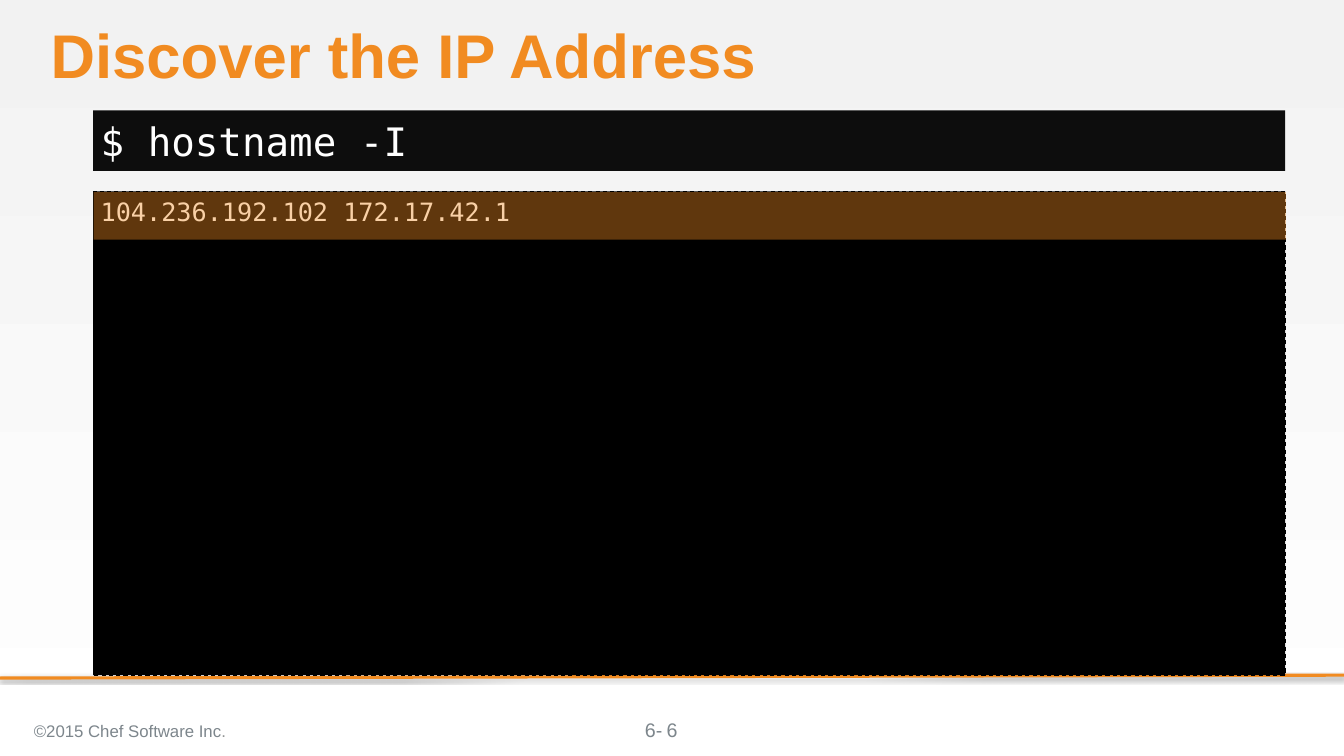
import dataclasses

import lxml.etree
import pptx
import pptx.dml.color
import pptx.enum.dml
import pptx.enum.shapes
import pptx.enum.text
import pptx.oxml.ns
import pptx.util

Pt = pptx.util.Pt
qn = pptx.oxml.ns.qn
Align = pptx.enum.text.PP_ALIGN
Anchor = pptx.enum.text.MSO_ANCHOR


@dataclasses.dataclass(frozen=True)
class Theme:
    sans: str = "Arial"
    mono: str = "DejaVu Sans Mono"
    orange: str = "F18B21"
    black: str = "000000"
    command: str = "0D0D0D"
    white: str = "FFFFFF"
    pale: str = "F2F2F2"
    grey: str = "7D868C"
    full_stop: str = "929494"
    title_size: float = 58.7
    command_size: float = 37.3
    output_size: float = 24
    page_size: float = 18.7
    copyright_size: float = 16


THEME = Theme()
TERMINAL_LEFT, TERMINAL_WIDTH = 88.6, 1135.4


def rgb(value):
    return pptx.dml.color.RGBColor.from_string(value)


def set_attributes(target, values):
    for name, value in values.items():
        setattr(target, name, value)


def place(part, left, top, width, height):
    box = {"left": left, "top": top, "width": width, "height": height}
    set_attributes(part, {side: Pt(length) for side, length in box.items()})


def write(part, runs, size, font=THEME.sans, bold=False, anchor=Anchor.TOP,
          align=Align.LEFT, insets=(0, 0, 0, 0), line_spacing=1.0):
    """Fill a part with one paragraph of (text, colour) runs."""
    left, top, right, bottom = insets
    frame = part.text_frame
    set_attributes(frame, {
        "word_wrap": True, "auto_size": pptx.enum.text.MSO_AUTO_SIZE.NONE,
        "vertical_anchor": anchor,
        "margin_left": Pt(left), "margin_top": Pt(top),
        "margin_right": Pt(right), "margin_bottom": Pt(bottom)})
    paragraph = frame.paragraphs[0]
    properties = paragraph._p.get_or_add_pPr()
    properties.set("marL", "0")
    properties.set("indent", "0")
    set_attributes(paragraph, {"alignment": align, "space_before": Pt(0),
                               "line_spacing": line_spacing})
    lxml.etree.SubElement(properties, qn("a:buNone"))
    for text, colour in runs:
        run = paragraph.add_run()
        run.text = text
        set_attributes(run.font, {"name": font, "size": Pt(size), "bold": bold})
        run.font.color.rgb = rgb(colour)


def paint(part, colour, opacity=100):
    part.fill.solid()
    part.fill.fore_color.rgb = rgb(colour)
    if opacity < 100:
        tint = part.fill._xPr.find(".//" + qn("a:srgbClr"))
        lxml.etree.SubElement(tint, qn("a:alpha"), val=str(opacity * 1000))


def add_background(slide):
    fill = slide.background.fill
    fill.gradient()
    fill.gradient_angle = 270
    for stop, colour in zip(fill.gradient_stops, (THEME.pale, THEME.white)):
        stop.color.rgb = rgb(colour)


def add_footer_rule(slide):
    rule = slide.shapes.add_connector(
        pptx.enum.shapes.MSO_CONNECTOR.STRAIGHT,
        Pt(1280), Pt(643), Pt(0), Pt(645.8))
    rule.line.color.rgb = rgb(THEME.orange)
    rule.line.width = Pt(3)
    effects = lxml.etree.SubElement(rule._element.spPr, qn("a:effectLst"))
    shadow = lxml.etree.SubElement(
        effects, qn("a:outerShdw"), blurRad=str(Pt(3.1)), dist=str(Pt(1.8)),
        dir="5400000", rotWithShape="0")
    tint = lxml.etree.SubElement(shadow, qn("a:srgbClr"), val=THEME.black)
    lxml.etree.SubElement(tint, qn("a:alpha"), val="35000")
    # The rule lies behind the terminal
    slide.shapes._spTree.insert(2, rule._element)


def add_highlight(slide, left, top, width, height):
    highlight = slide.shapes.add_shape(
        pptx.enum.shapes.MSO_SHAPE.RECTANGLE,
        Pt(left), Pt(top), Pt(width), Pt(height))
    highlight.shadow.inherit = False
    highlight.line.fill.background()
    paint(highlight, THEME.orange, 40)


def add_footer_text(slide, box, runs, size, **layout):
    footer = slide.shapes.add_textbox(*map(Pt, box))
    write(footer, runs, size, **layout)


def main():
    deck = pptx.Presentation()
    set_attributes(deck, {"slide_width": Pt(1280), "slide_height": Pt(720)})
    slide = deck.slides.add_slide(deck.slide_layouts.get_by_name("Two Content"))
    title, output, command = slide.placeholders

    # Backdrop
    add_background(slide)
    add_footer_rule(slide)

    # Title
    place(title, 48.2, 23.8, 1175.8, 65.5)
    write(title, [("Discover the IP Address", THEME.orange)], THEME.title_size,
          bold=True, line_spacing=0.9)

    # Terminal: command, its output and the highlighted line
    place(output, TERMINAL_LEFT, 182.2, TERMINAL_WIDTH, 460.8)
    paint(output, THEME.black)
    output.line.color.rgb = rgb(THEME.black)
    set_attributes(output.line, {
        "width": Pt(1), "dash_style": pptx.enum.dml.MSO_LINE.DASH})
    write(output, [("104.236.192.102 172.17.42.1", THEME.white)],
          THEME.output_size, font=THEME.mono, insets=(7.2, 5, 7.2, 3.6))

    place(command, TERMINAL_LEFT, 105.1, TERMINAL_WIDTH, 57.6)
    paint(command, THEME.command)
    write(command, [("$ hostname -I", THEME.white)], THEME.command_size,
          font=THEME.mono, anchor=Anchor.MIDDLE, insets=(7.2, 0, 0, 0))

    add_highlight(slide, TERMINAL_LEFT + 0.7, 182.9, TERMINAL_WIDTH, 45.4)

    # Footer
    margins = (7.2, 3.6, 7.2, 3.6)
    add_footer_text(slide, (25.2, 675.4, 447.1, 40.3),
                    [("©2015 Chef Software Inc", THEME.grey),
                     (".", THEME.full_stop)],
                    THEME.copyright_size, anchor=Anchor.MIDDLE, insets=margins)
    add_footer_text(slide, (611.3, 683.3, 57.6, 22.3), [("6-", THEME.grey)],
                    THEME.page_size, insets=(2.9, 0, 0, 0))
    add_footer_text(slide, (496.1, 675.4, 288, 38.2), [("6", THEME.grey)],
                    THEME.page_size, anchor=Anchor.MIDDLE, align=Align.CENTER,
                    insets=margins)

    deck.save("out.pptx")


if __name__ == "__main__":
    main()
